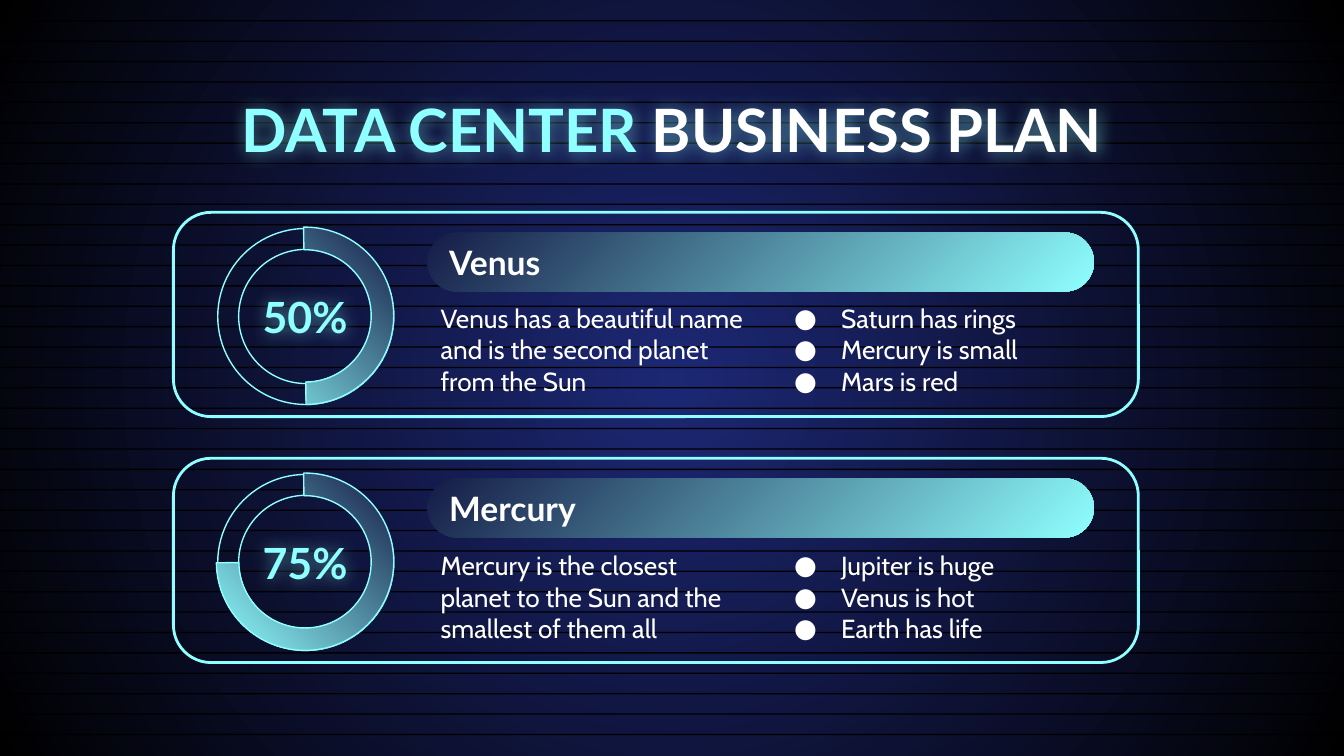
from lxml import etree
from pptx import Presentation, util as u
from pptx.dml.color import RGBColor
from pptx.enum import shapes, text
from pptx.oxml import ns

CYAN = RGBColor(0x8F, 0xFF, 0xFF)
WHITE = RGBColor(0xFF, 0xFF, 0xFF)
NAVY = RGBColor(0x15, 0x1B, 0x46)
BLUE = RGBColor(0x1D, 0x28, 0x75)
BLACK = RGBColor(0, 0, 0)

TITLE = [("DATA CENTER ", CYAN), ("BUSINESS PLAN", WHITE)]
CARDS = [
    {"name": "Venus", "share": 0.5, "body_y": 2.15,
     "body": "Venus has a beautiful name and is the second planet from the Sun",
     "points": ["Saturn has rings", "Mercury is small", "Mars is red"]},
    {"name": "Mercury", "share": 0.75, "body_y": 3.99,
     "body": "Mercury is the closest planet to the Sun and the smallest of them all",
     "points": ["Jupiter is huge", "Venus is hot", "Earth has life"]},
]

W = 10
H = W * 9 / 16
STRIPES, FIRST_STRIPE, LAST_STRIPE = 36, 0.15, 5.46
CARD_X, CARD_Y, CARD_W, CARD_H, CARD_STEP = 1.29, 1.58, 7.18, 1.52, 1.83
RING_X, RING_D = 1.61, 1.32
BAR_X, BAR_W, BAR_H = 3.18, 4.96, 0.44
COL_W, COL_H = BAR_W / 2, 0.82
KIND = shapes.MSO_SHAPE


def sub(parent, tag, **attrs):
    return etree.SubElement(parent, ns.qn(tag), {k: str(v) for k, v in attrs.items()})


def paint(fill, colors, angle=None):
    fill.gradient()
    for stop, color in zip(fill.gradient_stops, colors):
        stop.color.rgb = color
    if angle is not None:
        fill.gradient_angle = angle


def add_shape(s, kind, x, y, w, h, adj=(), fill=None, line=None):
    sp = s.shapes.add_shape(kind, *map(u.Inches, (x, y, w, h)))
    sp.shadow.inherit = False
    for i, value in enumerate(adj):
        sp.adjustments[i] = value
    if fill is None:
        sp.fill.background()
    elif isinstance(fill, RGBColor):
        sp.fill.solid()
        sp.fill.fore_color.rgb = fill
    else:
        paint(sp.fill, fill, 315)
    if line:
        sp.line.color.rgb = CYAN
        sp.line.width = u.Pt(line)
    else:
        sp.line.fill.background()
    return sp


def write(sp, paragraphs, size, font="Lato", color=WHITE, bold=False,
          align=text.PP_ALIGN.LEFT, anchor=text.MSO_ANCHOR.TOP, bullet=None):
    tf = sp.text_frame
    tf.word_wrap = True
    tf.vertical_anchor = anchor
    tf.margin_left = tf.margin_right = tf.margin_top = tf.margin_bottom = u.Inches(0.1)
    for i, runs in enumerate(paragraphs):
        p = tf.paragraphs[0] if i == 0 else tf.add_paragraph()
        p.alignment = align
        if bullet:
            pPr = p._p.get_or_add_pPr()
            pPr.set("marL", str(u.Inches(0.5)))
            pPr.set("indent", str(u.Inches(-0.35)))
            sub(sub(pPr, "a:buClr"), "a:srgbClr", val=color)
            sub(pPr, "a:buFont", typeface=font)
            sub(pPr, "a:buChar", char=bullet)
        for content, run_color in [(runs, color)] if isinstance(runs, str) else runs:
            r = p.add_run()
            r.text = content
            r.font.name, r.font.size, r.font.bold = font, u.Pt(size), bold
            r.font.color.rgb = run_color


def add_text(s, x, y, w, h, paragraphs, glow=False, **fmt):
    sp = s.shapes.add_textbox(*map(u.Inches, (x, y, w, h)))
    write(sp, paragraphs, **fmt)
    if glow:
        effects = sub(sp._element.spPr, "a:effectLst")
        shadow = sub(effects, "a:outerShdw", blurRad=u.Pt(9), algn="bl", rotWithShape=0)
        sub(sub(shadow, "a:srgbClr", val=CYAN), "a:alpha", val=50000)


def add_background(s):
    paint(s.background.fill, (BLUE, BLACK))
    lin = s._element.find(".//" + ns.qn("a:lin"))
    grad = lin.getparent()
    grad.remove(lin)
    radial = sub(grad, "a:path", path="circle")
    sub(radial, "a:fillToRect", l=50000, t=50000, r=50000, b=50000)
    pitch = (LAST_STRIPE - FIRST_STRIPE) / (STRIPES - 1)
    for i in range(STRIPES):
        add_shape(s, KIND.RECTANGLE, 0, FIRST_STRIPE + i * pitch, W, 0.01, fill=BLACK)


def add_card(s, y, card):
    add_shape(s, KIND.ROUNDED_RECTANGLE, CARD_X, y, CARD_W, CARD_H, [0.184], line=1.5)
    ring_y = y + 0.11
    add_shape(s, KIND.DONUT, RING_X + 0.01, ring_y + 0.01, RING_D - 0.01, RING_D - 0.01,
              [0.119], line=0.75)
    start = 270.65 - 360 * card["share"]
    arc = add_shape(s, KIND.BLOCK_ARC, RING_X, ring_y, RING_D, RING_D,
                    [start * 0.6, 270.95 * 0.6, 0.127], (NAVY, CYAN), 0.75)
    arc._element.spPr.xfrm.set("flipH", "1")
    bar = add_shape(s, KIND.ROUNDED_RECTANGLE, BAR_X, y + 0.15, BAR_W, BAR_H, [0.5],
                    (NAVY, CYAN))
    write(bar, [card["name"]], 18, bold=True, anchor=text.MSO_ANCHOR.MIDDLE)
    add_text(s, BAR_X, card["body_y"], COL_W, COL_H, [card["body"]], size=14,
             font="Cabin")
    add_text(s, RING_X, y + 0.46, RING_D, 0.63, [f"{card['share']:.0%}"], glow=True,
             size=23, color=CYAN, bold=True, align=text.PP_ALIGN.CENTER,
             anchor=text.MSO_ANCHOR.MIDDLE)
    add_text(s, BAR_X + COL_W, card["body_y"], COL_W, COL_H, card["points"], size=14,
             font="Cabin", bullet="●")


def main():
    prs = Presentation()
    prs.slide_width, prs.slide_height = u.Inches(W), u.Inches(H)
    s = prs.slides.add_slide(prs.slide_layouts[6])
    add_background(s)
    add_text(s, 0.78, 0.59, 8.44, 0.62, [TITLE], glow=True, size=32, bold=True,
             align=text.PP_ALIGN.CENTER)
    for i, card in enumerate(CARDS):
        add_card(s, CARD_Y + i * CARD_STEP, card)
    prs.save("out.pptx")


if __name__ == "__main__":
    main()
